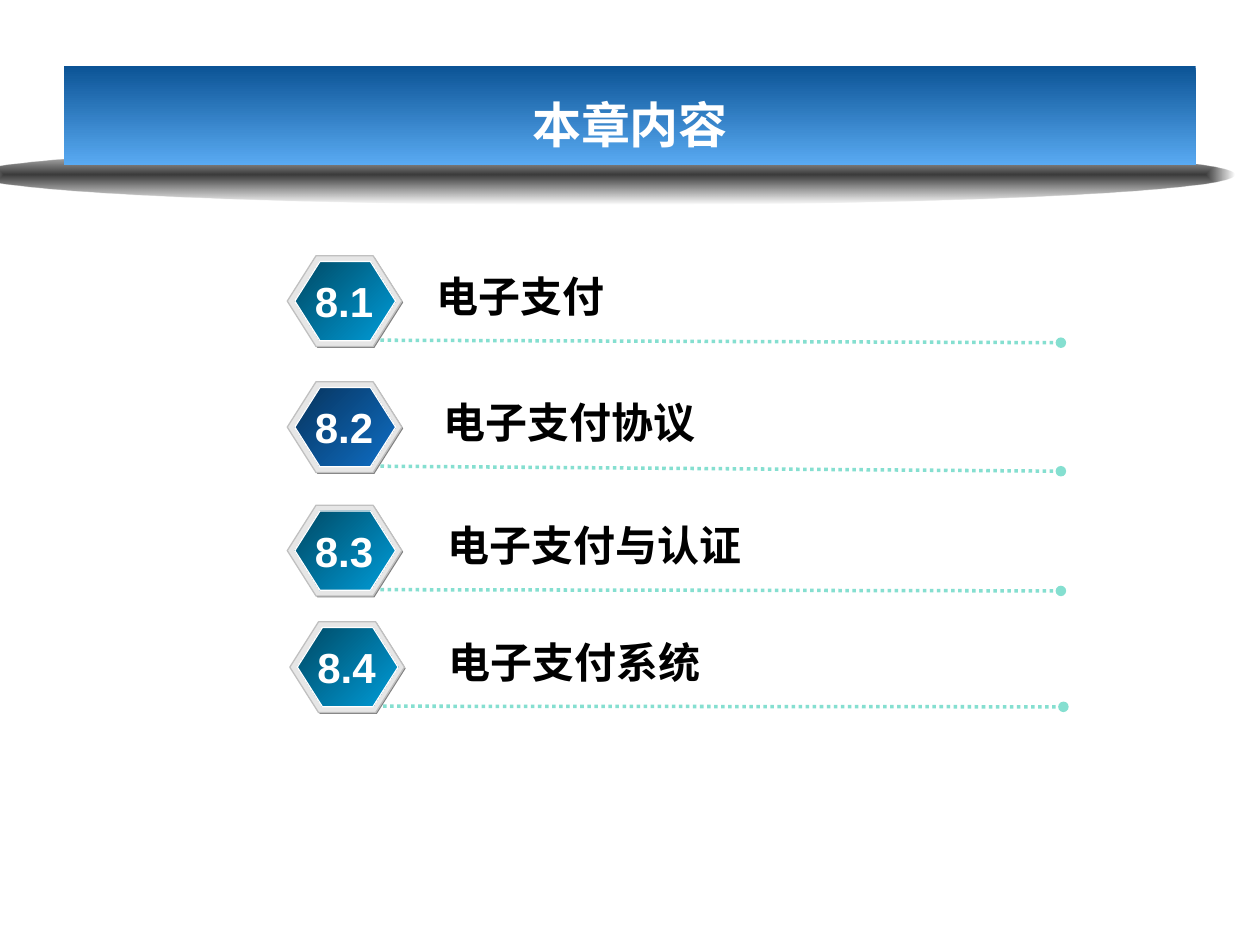
from lxml.etree import SubElement
from pptx import Presentation
from pptx.dml.color import RGBColor
from pptx.enum.dml import MSO_LINE
from pptx.enum.shapes import MSO_CONNECTOR, MSO_SHAPE
from pptx.enum.text import MSO_ANCHOR, MSO_AUTO_SIZE, PP_ALIGN
from pptx.oxml.ns import qn
from pptx.util import Inches, Pt

BLACK = RGBColor(0x00, 0x00, 0x00)
WHITE = RGBColor(0xFF, 0xFF, 0xFF)
GRAY = RGBColor(0x80, 0x80, 0x80)
SILVER = RGBColor(0xC0, 0xC0, 0xC0)
PALE = RGBColor(0xE6, 0xE6, 0xE6)
MINT = RGBColor(0x85, 0xDF, 0xD0)
BANNER = (RGBColor(0x0B, 0x53, 0x95), RGBColor(0x59, 0xAA, 0xF2))
TEAL = (RGBColor(0x00, 0x49, 0x64), RGBColor(0x00, 0x9D, 0xD9))
BLUE = (RGBColor(0x07, 0x33, 0x5C), RGBColor(0x0F, 0x6F, 0xC6))

COLS, ROWS = 100, 75

TOPICS = [
    ("8.1", "电子支付", TEAL, 22.8, 20.3, 10.9, 15.3, 0.2),
    ("8.2", "电子支付协议", BLUE, 22.8, 30.3, 11.4, 22, 0.4),
    ("8.3", "电子支付与认证", TEAL, 22.8, 40.1, 11.7, 25.3, 0.1),
    ("8.4", "电子支付系统", TEAL, 23, 49.35, 11.6, 22, 0.05),
]


class Deck:
    def __init__(self):
        self.prs = Presentation()
        self.prs.slide_width = Inches(10)
        self.prs.slide_height = Inches(7.5)
        self.slide = self.prs.slides.add_slide(self.prs.slide_layouts[5])
        self.shapes = self.slide.shapes

    def area(self, x, y, w, h):
        col = self.prs.slide_width / COLS
        row = self.prs.slide_height / ROWS
        return [round(v) for v in (x * col, y * row, w * col, h * row)]

    def blend(self, shape, pair, angle):
        shape.fill.gradient()
        shape.fill.gradient_angle = 360 - angle
        for stop, color in zip(shape.fill.gradient_stops, pair):
            stop.color.rgb = color

    def style(self, frame, text, font, size, color, align):
        frame.text = text
        para = frame.paragraphs[0]
        para.alignment = align
        face = para.runs[0].font
        face.name, face.size, face.bold = font, Pt(size), True
        face.color.rgb = color
        return para

    def title(self, text, box):
        title = self.shapes.title
        title.left, title.top, title.width, title.height = self.area(*box)
        self.blend(title, BANNER, 90)
        frame = title.text_frame
        para = self.style(frame, text, "Vollkorn", 28, WHITE, PP_ALIGN.CENTER)
        para.line_spacing = 1.3
        frame.auto_size = MSO_AUTO_SIZE.NONE
        frame.vertical_anchor = MSO_ANCHOR.MIDDLE
        frame.margin_left = frame.margin_right = Inches(0.31)
        frame.margin_top = frame.margin_bottom = Inches(0.2)
        self.shapes._spTree.append(title._element)

    def shade(self, box):
        oval = self.shapes.add_shape(MSO_SHAPE.OVAL, *self.area(*box))
        oval.shadow.inherit = False
        oval.line.fill.background()
        self.blend(oval, (BLACK, BLACK), 0)
        grad = oval._element.spPr.find(qn("a:gradFill"))
        for color, alpha in zip(grad.iter(qn("a:srgbClr")), (77, 0)):
            SubElement(color, qn("a:alpha"), val=str(alpha * 1000))
        grad.remove(grad.find(qn("a:lin")))
        focus = SubElement(grad, qn("a:path"), path="rect")
        SubElement(focus, qn("a:fillToRect"), l="50000", t="50000", r="50000", b="50000")

    def hexagon(self, box, fill, edge=None):
        hexa = self.shapes.add_shape(MSO_SHAPE.HEXAGON, *self.area(*box))
        hexa.shadow.inherit = False
        hexa.adjustments[0] = 0.317
        hexa.adjustments[1] = 1.155
        if isinstance(fill, RGBColor):
            hexa.fill.solid()
            hexa.fill.fore_color.rgb = fill
        else:
            self.blend(hexa, fill, 45)
        if edge is None:
            hexa.line.fill.background()
        else:
            hexa.line.color.rgb = edge
            hexa.line.width = Pt(0.75)

    def rule(self, x, y, w, drop):
        left, top, width, fall = self.area(x, y, w, drop)
        rule = self.shapes.add_connector(
            MSO_CONNECTOR.STRAIGHT, left, top, left + width, top + fall)
        rule.line.color.rgb = MINT
        rule.line.width = Pt(2)
        rule.line.dash_style = MSO_LINE.ROUND_DOT
        props = rule._element.spPr
        SubElement(props.find(qn("a:ln")), qn("a:tailEnd"), type="oval")
        SubElement(props, qn("a:effectLst"))

    def label(self, box, text, font, color, align):
        frame = self.shapes.add_textbox(*self.area(*box)).text_frame
        frame.word_wrap = False
        frame.auto_size = MSO_AUTO_SIZE.SHAPE_TO_FIT_TEXT
        self.style(frame, text, font, 24, color, align)

    def topic(self, num, text, fill, x, y, indent, width, drop):
        self.hexagon((x + 0.1, y + 0.1, 9.1, 7.2), GRAY)
        self.hexagon((x, y, 9.1, 7.2), PALE, SILVER)
        self.hexagon((x + 0.6, y + 0.45, 8, 6.3), fill, WHITE)
        self.rule(x + 7.4, y + 6.7, 54, drop)
        self.label((x + indent, y + 0.65, width, 5), text,
                   "Times New Roman", BLACK, PP_ALIGN.LEFT)
        self.label((x + 1.2, y + 1.1, 6.6, 5), num, "Arial", WHITE, PP_ALIGN.CENTER)


def main():
    deck = Deck()
    deck.shade((-2, 11.5, 100, 4.7))
    deck.title("本章内容", (5.1, 5.2, 89.8, 7.9))
    for topic in TOPICS:
        deck.topic(*topic)
    deck.prs.save("out.pptx")


if __name__ == "__main__":
    main()
